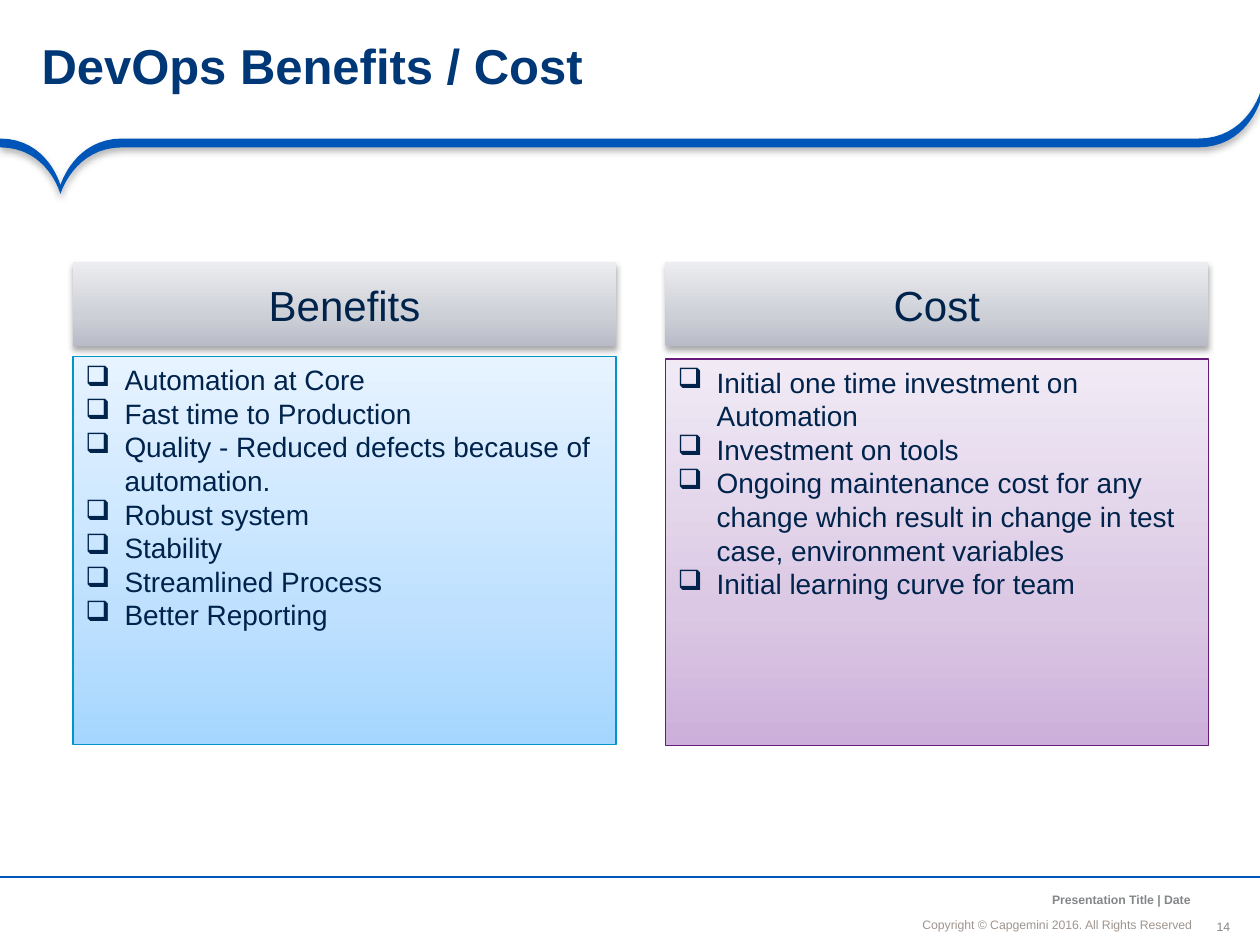
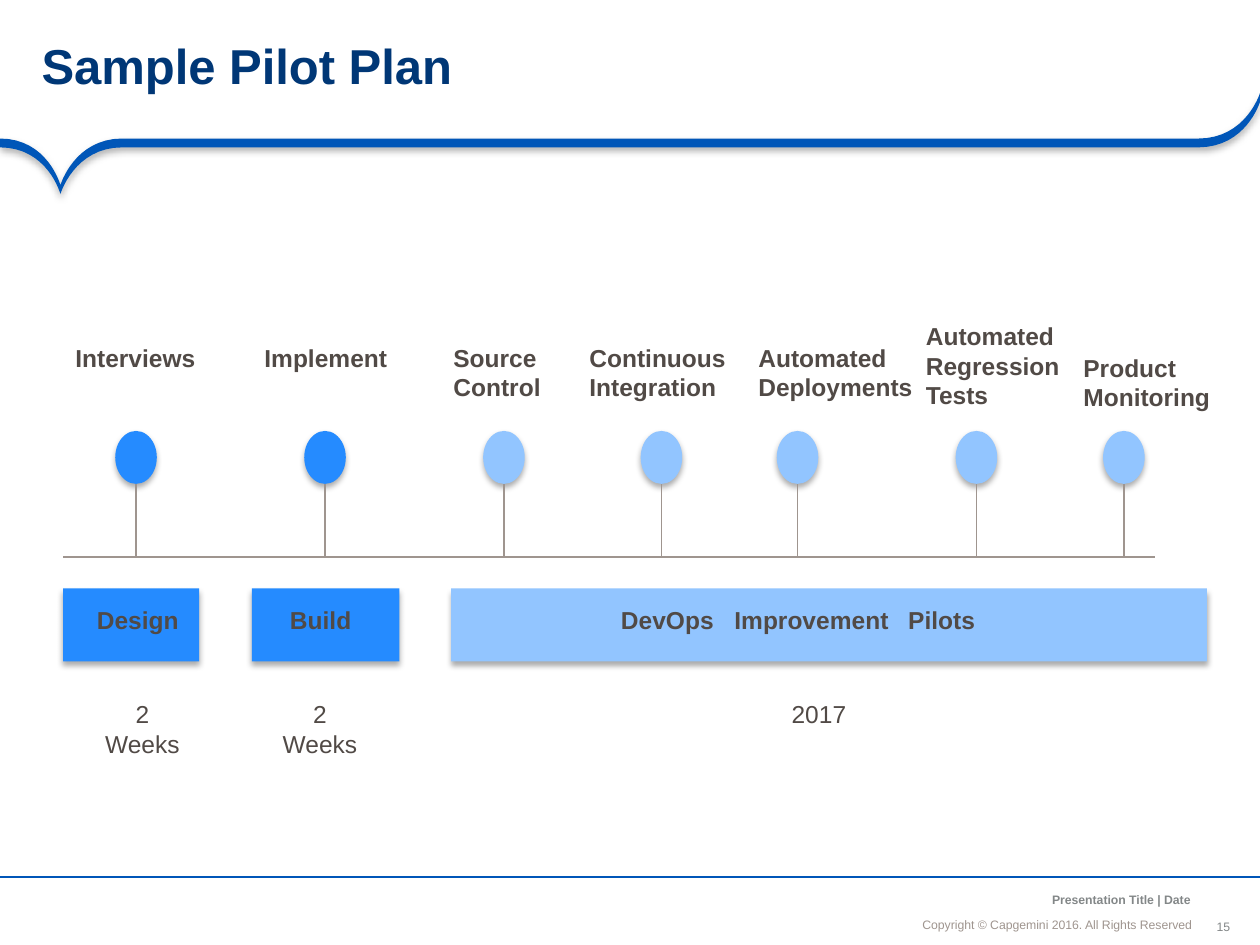
from dataclasses import dataclass

from lxml.etree import SubElement
from pptx import Presentation
from pptx.dml.color import RGBColor
from pptx.enum.shapes import MSO_CONNECTOR, MSO_SHAPE
from pptx.enum.text import MSO_ANCHOR, PP_ALIGN
from pptx.oxml.ns import qn
from pptx.util import Inches, Pt

FONT = "Arial"
BLUE = "0056B8"
TITLE_BLUE = "003776"
NAVY = "00234B"
GRAY = "838788"
WARM_GRAY = "9F958F"
BROWN = "514A46"
PHASE_BLUE = "258BFF"
PILOT_BLUE = "92C5FF"

BAND_THICKNESS = 0.07
BAND_CURVES = [
    ((0, 1.1), (0.38, 1.1), (0.48, 1.47), (0.48, 1.47)),
    ((0.48, 1.47), (0.48, 1.47), (0.59, 1.1), (0.97, 1.1)),
    ((9.51, 1.1), (9.89, 1.1), (10, 0.74), (10, 0.74)),
]
CURVE_STEPS = 16

HEADER_STOPS = [(0, "B8BAC6"), (35, "CDCFD7"), (100, "ECEDF0")]
BENEFIT_STOPS = [(0, "A5D6FF"), (35, "BFE1FF"), (100, "E7F3FF")]
COST_STOPS = [(0, "CCAFDA"), (35, "DBC8E4"), (100, "F1EAF5")]
BULLET_INDENT = 0.31

PIN_WIDTH, PIN_TOP, PIN_HEIGHT = 0.33, 3.42, 0.42
AXIS_Y = 4.42
BAR_TOP, BAR_HEIGHT = 4.67, 0.58


@dataclass
class Panel:
    heading: str
    left: float
    top: float
    height: float
    stops: list
    border: str
    items: list


@dataclass
class Milestone:
    center: float
    color: str
    label: str
    label_left: float
    label_width: float
    label_top: float = 2.67


@dataclass
class Phase:
    left: float
    width: float
    color: str
    name: str
    name_left: float
    name_width: float
    duration: str
    duration_left: float
    duration_width: float
    align: PP_ALIGN = PP_ALIGN.LEFT
    tabs: tuple = ()


PANELS = [
    Panel("Benefits", 0.58, 2.83, 3.08, BENEFIT_STOPS, "0095C8", [
        "Automation at Core",
        "Fast time to Production",
        "Quality - Reduced defects because of automation.",
        "Robust system",
        "Stability",
        "Streamlined Process",
        "Better Reporting",
    ]),
    Panel("Cost", 5.28, 2.85, 3.07, COST_STOPS, "681B7C", [
        "Initial one time investment on Automation",
        "Investment on tools",
        "Ongoing maintenance cost for any change which result in change in test case, "
        "environment variables",
        "Initial learning curve for team",
    ]),
]

MILESTONES = [
    Milestone(1.08, PHASE_BLUE, "Interviews", 0.5, 1.17),
    Milestone(2.58, PHASE_BLUE, "Implement", 2, 1.25),
    Milestone(4, PILOT_BLUE, "Source\nControl", 3.5, 0.92),
    Milestone(5.25, PILOT_BLUE, "Continuous\nIntegration", 4.58, 1.33),
    Milestone(6.33, PILOT_BLUE, "Automated\nDeployments", 5.92, 1.58),
    Milestone(7.75, PILOT_BLUE, "Automated Regression\nTests", 7.25, 1.33, 2.5),
    Milestone(8.92, PILOT_BLUE, "Product\nMonitoring", 8.5, 1.25, 2.75),
]

PHASES = [
    Phase(0.5, 1.08, PHASE_BLUE, "Design", 0.67, 0.92, "2 Weeks", 0.67, 0.92),
    Phase(2, 1.17, PHASE_BLUE, "Build", 2.17, 0.75, "2 Weeks", 2.08, 0.92, PP_ALIGN.CENTER),
    Phase(3.58, 6, PILOT_BLUE, "DevOps\tImprovement\tPilots", 4.83, 3.25,
          "2017", 3.75, 5.5, tabs=(0.9, 2.28)),
]


def rgb(color: str) -> RGBColor:
    return RGBColor.from_string(color)


def write_text(shape, text: str, *, size: float, color: str, bold: bool = False,
               align=PP_ALIGN.LEFT, anchor=MSO_ANCHOR.TOP, margins=(0.1, 0.05, 0.1, 0.05),
               wrap: bool = True, spacing: float = 1.0, bullet: str = "", tabs=()) -> None:
    frame = shape.text_frame
    frame.word_wrap = wrap
    frame.vertical_anchor = anchor
    (frame.margin_left, frame.margin_top,
     frame.margin_right, frame.margin_bottom) = map(Inches, margins)
    for index, line in enumerate(text.split("\n")):
        para = frame.add_paragraph() if index else frame.paragraphs[0]
        para.alignment = align
        para.line_spacing = spacing
        properties = para._p.get_or_add_pPr()
        if bullet:
            properties.set("marL", str(Inches(BULLET_INDENT)))
            properties.set("indent", str(-Inches(BULLET_INDENT)))
            SubElement(properties, qn("a:buChar"), char=bullet)
        if tabs:
            tab_list = SubElement(properties, qn("a:tabLst"))
            for position in tabs:
                SubElement(tab_list, qn("a:tab"), pos=str(Inches(position)), algn="l")
        span = para.add_run()
        span.text = line
        span.font.name = FONT
        span.font.size = Pt(size)
        span.font.bold = bold
        span.font.color.rgb = rgb(color)


def add_text(page, text: str, left: float, top: float, width: float, height: float,
             **style) -> None:
    box = page.shapes.add_textbox(Inches(left), Inches(top), Inches(width), Inches(height))
    write_text(box, text, **style)


def add_shadow(shape, opacity: int, blur: float, distance: float) -> None:
    shape.shadow.inherit = False
    effects = shape._element.spPr.find(qn("a:effectLst"))
    shadow = SubElement(effects, qn("a:outerShdw"), blurRad=str(Pt(blur)),
                        dist=str(Pt(distance)), dir="5400000", rotWithShape="0")
    color = SubElement(shadow, qn("a:srgbClr"), val="000000")
    SubElement(color, qn("a:alpha"), val=str(opacity * 1000))


def fill_gradient(shape, stops: list) -> None:
    shape.fill.gradient()
    gradient = shape._element.spPr.find(qn("a:gradFill"))
    for child in list(gradient):
        gradient.remove(child)
    stop_list = SubElement(gradient, qn("a:gsLst"))
    for position, color in stops:
        stop = SubElement(stop_list, qn("a:gs"), pos=str(position * 1000))
        SubElement(stop, qn("a:srgbClr"), val=color)
    SubElement(gradient, qn("a:lin"), ang="16200000", scaled="0")


def add_block(page, kind, left: float, top: float, width: float, height: float, *,
              color: str = "", stops=None, border: str = ""):
    block = page.shapes.add_shape(kind, Inches(left), Inches(top), Inches(width), Inches(height))
    if stops:
        fill_gradient(block, stops)
    else:
        block.fill.solid()
        block.fill.fore_color.rgb = rgb(color)
    if border:
        block.line.color.rgb = rgb(border)
        block.line.width = Pt(0.75)
        block.shadow.inherit = False
    else:
        block.line.fill.background()
        add_shadow(block, 32, 3.5, 2.2)
    return block


def add_line(page, start: tuple, end: tuple, color: str) -> None:
    line = page.shapes.add_connector(MSO_CONNECTOR.STRAIGHT, *map(Inches, start + end))
    line.line.color.rgb = rgb(color)
    line.line.width = Pt(0.75)
    SubElement(line._element.spPr, qn("a:effectLst"))


def curve_point(curve: tuple, t: float) -> tuple:
    weights = ((1 - t) ** 3, 3 * t * (1 - t) ** 2, 3 * t ** 2 * (1 - t), t ** 3)
    return tuple(sum(w * point[axis] for w, point in zip(weights, curve)) for axis in (0, 1))


def add_band(page) -> None:
    upper = [curve_point(curve, step / CURVE_STEPS)
             for curve in BAND_CURVES for step in range(CURVE_STEPS + 1)]
    lower = [(x, y + BAND_THICKNESS) for x, y in reversed(upper)]
    outline = [(Inches(x), Inches(y)) for x, y in upper + lower]
    builder = page.shapes.build_freeform(*outline[0])
    builder.add_line_segments(outline[1:], close=True)
    band = builder.convert_to_shape()
    band.fill.solid()
    band.fill.fore_color.rgb = rgb(BLUE)
    band.line.fill.background()
    add_shadow(band, 31, 4, 2)


def add_page(deck, title: str, number: int):
    page = deck.slides.add_slide(deck.slide_layouts[6])
    footer = dict(size=7, align=PP_ALIGN.RIGHT, anchor=MSO_ANCHOR.BOTTOM, margins=(0.04,) * 4)
    add_text(page, str(number), 9.65, 7.29, 0.12, 0.12, size=7, color=GRAY, wrap=False,
             align=PP_ALIGN.CENTER, anchor=MSO_ANCHOR.MIDDLE, margins=(0,) * 4)
    add_band(page)
    add_text(page, "Copyright © Capgemini 2016. All Rights Reserved", 6.81, 7.24, 2.69, 0.2,
             color=WARM_GRAY, spacing=0.9, **footer)
    add_text(page, "Presentation Title | Date", 7.56, 7.03, 1.93, 0.21,
             color=GRAY, bold=True, wrap=False, **footer)
    add_line(page, (10, 6.96), (0, 6.96), BLUE)
    add_text(page, title, 0, 0, 10, 1.1, size=28, color=TITLE_BLUE, bold=True,
             anchor=MSO_ANCHOR.MIDDLE, margins=(0.33, 0.04, 0.18, 0.04), spacing=0.85)
    return page


def add_panel(page, panel: Panel) -> None:
    header = add_block(page, MSO_SHAPE.RECTANGLE, panel.left, 2.08, 4.31, 0.67,
                       stops=HEADER_STOPS)
    write_text(header, panel.heading, size=24, color=NAVY,
               align=PP_ALIGN.CENTER, anchor=MSO_ANCHOR.MIDDLE)
    body = add_block(page, MSO_SHAPE.RECTANGLE, panel.left, panel.top, 4.31, panel.height,
                     stops=panel.stops, border=panel.border)
    write_text(body, "\n".join(panel.items), size=16, color=NAVY, bullet="❑")


def add_phase(page, phase: Phase) -> None:
    add_block(page, MSO_SHAPE.RECTANGLE, phase.left, BAR_TOP, phase.width, BAR_HEIGHT,
              color=phase.color)
    add_text(page, phase.name, phase.name_left, 4.75, phase.name_width, 0.34,
             size=14, color=BROWN, bold=True, align=phase.align, tabs=phase.tabs)
    add_text(page, phase.duration, phase.duration_left, 5.5, phase.duration_width, 0.34,
             size=14, color=BROWN, align=PP_ALIGN.CENTER)


def add_milestone(page, milestone: Milestone) -> None:
    add_block(page, MSO_SHAPE.OVAL, milestone.center - PIN_WIDTH / 2, PIN_TOP,
              PIN_WIDTH, PIN_HEIGHT, color=milestone.color)
    add_line(page, (milestone.center, PIN_TOP + PIN_HEIGHT), (milestone.center, AXIS_Y),
             WARM_GRAY)
    add_text(page, milestone.label, milestone.label_left, milestone.label_top,
             milestone.label_width, 0.57, size=14, color=BROWN, bold=True)


def main() -> None:
    deck = Presentation()
    deck.slide_width = Inches(10)
    deck.slide_height = Inches(7.5)

    comparison = add_page(deck, "DevOps Benefits / Cost", 14)
    for panel in PANELS:
        add_panel(comparison, panel)

    plan = add_page(deck, "Sample Pilot Plan", 15)
    for phase in PHASES:
        add_phase(plan, phase)
    add_line(plan, (0.5, AXIS_Y), (9.17, AXIS_Y), WARM_GRAY)
    for milestone in MILESTONES:
        add_milestone(plan, milestone)

    deck.save("out.pptx")


if __name__ == "__main__":
    main()
